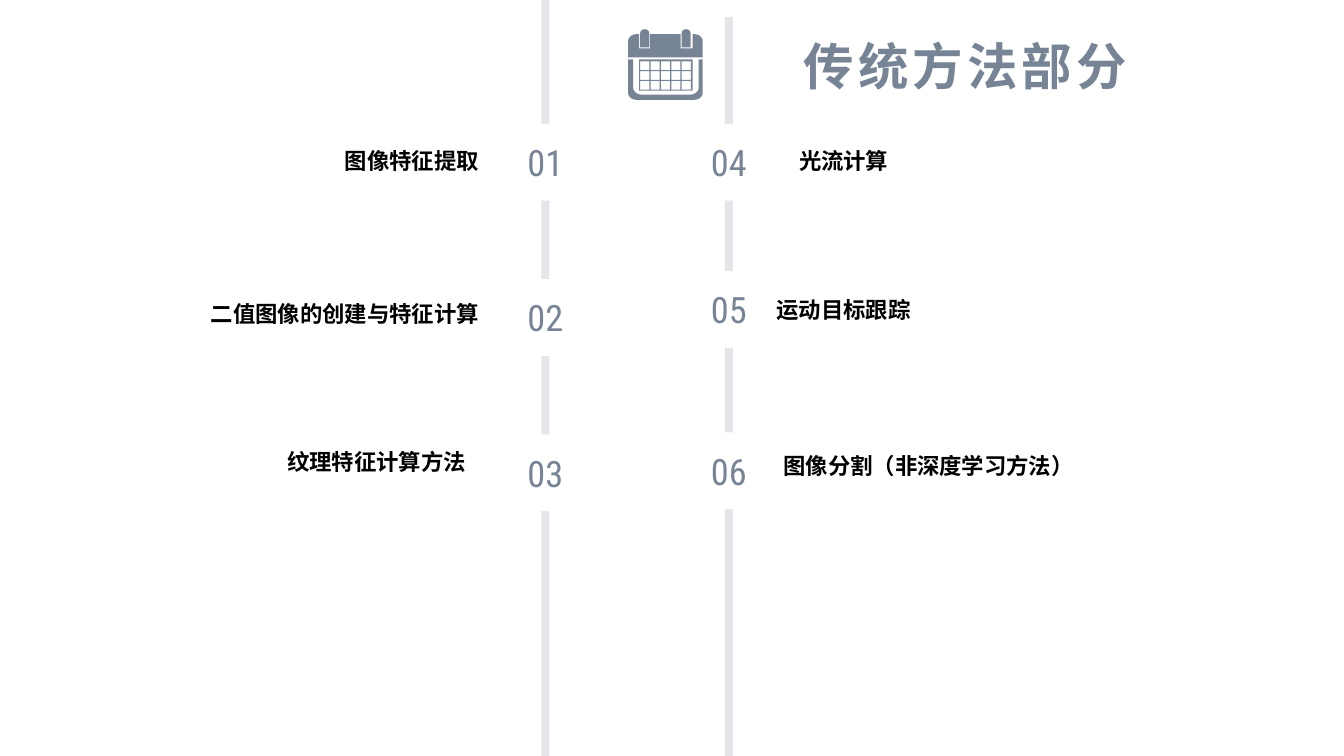
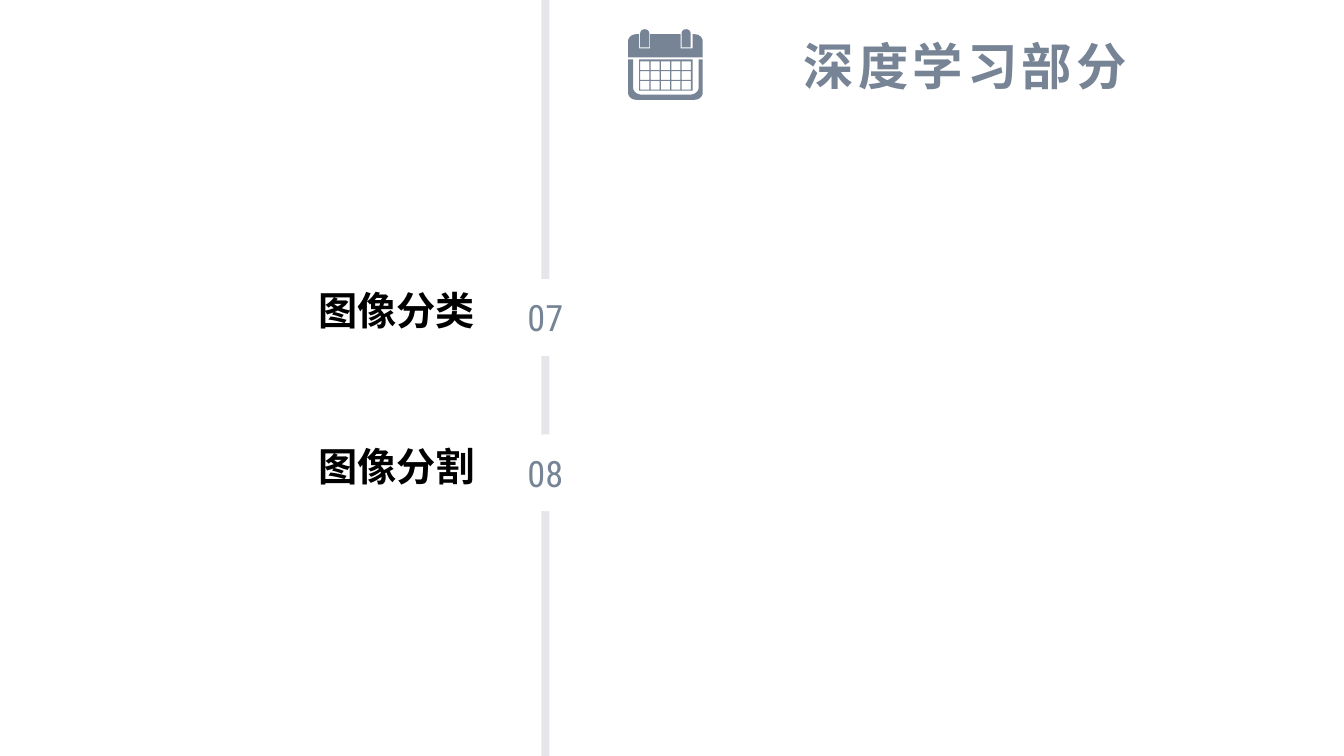
import math

from lxml import etree
from pptx import Presentation
from pptx.dml.color import RGBColor
from pptx.enum import lang, shapes, text
from pptx.oxml import ns
from pptx.util import Inches, Pt

SLATE = RGBColor(0x77, 0x84, 0x95)
LINE_GREY = RGBColor(0xE4, 0xE6, 0xEA)
WHITE = RGBColor(0xFF, 0xFF, 0xFF)
BLACK = RGBColor(0, 0, 0)

SLIDE_WIDTH, SLIDE_HEIGHT = 13.33, 7.5
LINE_WIDTH = 0.08
BADGE_SIZE = 0.7
LABEL_WIDTH, LABEL_HEIGHT = 4.08, 0.42
LEFT_LINE, RIGHT_LINE = 5.37, 7.19
TITLE_BOX = (7.87, 0.17, 3.52, 0.66)
ICON_ORIGIN = (6.23, 0.29)

TITLE_FONT = {"name": "Arial", "size": Pt(36), "bold": True}
BADGE_FONT = {"name": "Roboto Condensed", "size": Pt(25.9), "bold": False}
LABEL_FONT = {"name": "Arial", "bold": True}


def write_text(shape, content, font, color, alignment, anchor):
    """Put one formatted line of text in a shape."""
    frame = shape.text_frame
    frame_format = {"word_wrap": False, "vertical_anchor": anchor,
                    "auto_size": text.MSO_AUTO_SIZE.NONE}
    for name, value in frame_format.items():
        setattr(frame, name, value)
    paragraph = frame.paragraphs[0]
    paragraph.alignment = alignment
    run = paragraph.add_run()
    run.text = content
    run.font.language_id = lang.MSO_LANGUAGE_ID.SIMPLIFIED_CHINESE
    for name, value in font.items():
        setattr(run.font, name, value)
    run.font.color.rgb = color
    # East Asian typeface follows the Latin one
    properties = run.font._element
    etree.SubElement(properties, ns.qn("a:ea"), typeface=font["name"])
    return paragraph


def add_plain_shape(slide, kind, box, fill):
    shape = slide.shapes.add_shape(kind, *map(Inches, box))
    shape.shadow.inherit = False
    shape.fill.solid()
    shape.fill.fore_color.rgb = fill
    shape.line.fill.background()
    return shape


def arc(center_x, center_y, radius_x, radius_y, start, end, steps=8):
    """Points along an elliptical arc, angles in degrees."""
    angles = [math.radians(start + (end - start) * i / steps)
              for i in range(steps + 1)]
    return [(center_x + radius_x * math.cos(a), center_y + radius_y * math.sin(a))
            for a in angles]


def rectangle(left, top, width, height):
    return [(left, top), (left + width, top),
            (left + width, top + height), (left, top + height)]


def add_calendar_icon(slide, left, top):
    body = ([(0, 0.3), (0.05, 0.3)]
            + arc(0.14, 0.58, 0.09, 0.07, 180, 90)
            + arc(0.61, 0.58, 0.09, 0.07, 90, 0)
            + [(0.7, 0.3), (0.74, 0.3)]
            + arc(0.66, 0.63, 0.08, 0.07, 0, 90)
            + arc(0.08, 0.63, 0.08, 0.07, 90, 180))
    header = ([(0, 0.28)]
              + arc(0.08, 0.12, 0.08, 0.07, 180, 270)
              + [(0.11, 0.05), (0.11, 0.19), (0.22, 0.19), (0.22, 0.05),
                 (0.52, 0.05), (0.52, 0.19), (0.64, 0.19), (0.64, 0.05)]
              + arc(0.66, 0.12, 0.08, 0.07, 270, 360)
              + [(0.74, 0.28)])
    rings = [arc(x + 0.045, 0.04, 0.045, 0.04, 180, 360)
             + [(x + 0.09, 0.18), (x, 0.18)] for x in (0.12, 0.53)]
    # The day cells are holes in the grid panel
    grid = rectangle(0.11, 0.3, 0.53, 0.31)
    cells = [rectangle(0.12 + 0.103 * column, 0.32 + 0.097 * row, 0.09, 0.085)
             for column in range(5) for row in range(3)]

    builder = None
    for outline in [body, header, grid, *rings, *cells]:
        start, *rest = [(Inches(x), Inches(y)) for x, y in outline]
        if builder is None:
            builder = slide.shapes.build_freeform(*start)
        else:
            builder.move_to(*start)
        builder.add_line_segments(rest, close=True)
    icon = builder.convert_to_shape(Inches(left), Inches(top))
    icon.shadow.inherit = False
    icon.fill.solid()
    icon.fill.fore_color.rgb = SLATE
    icon.line.fill.background()


def add_header(slide, content):
    """Calendar icon and slide title."""
    title = slide.shapes.title
    for name, value in zip(("left", "top", "width", "height"), TITLE_BOX):
        setattr(title, name, Inches(value))
    paragraph = write_text(title, content, TITLE_FONT, SLATE,
                           text.PP_ALIGN.LEFT, text.MSO_ANCHOR.MIDDLE)
    paragraph.line_spacing = 1.5
    paragraph.runs[0].font._element.set("spc", "300")
    add_calendar_icon(slide, *ICON_ORIGIN)


def add_timeline(slide, left, top, entries, label_size):
    """Vertical line with numbered badges; labels end at an offset from the line."""
    add_plain_shape(slide, shapes.MSO_SHAPE.RECTANGLE,
                    (left, top, LINE_WIDTH, SLIDE_HEIGHT - top), LINE_GREY)
    badge_left = left + (LINE_WIDTH - BADGE_SIZE) / 2
    for number, badge_top, label, label_end, label_top in entries:
        badge = add_plain_shape(slide, shapes.MSO_SHAPE.OVAL,
                                (badge_left, badge_top, BADGE_SIZE, BADGE_SIZE), WHITE)
        badge.line.color.rgb = WHITE
        badge.line.width = Pt(4.5)
        write_text(badge, number, BADGE_FONT, SLATE,
                   text.PP_ALIGN.CENTER, text.MSO_ANCHOR.MIDDLE)
        box = (left + label_end - LABEL_WIDTH, label_top, LABEL_WIDTH, LABEL_HEIGHT)
        label_box = slide.shapes.add_textbox(*map(Inches, box))
        write_text(label_box, label, {**LABEL_FONT, "size": Pt(label_size)}, BLACK,
                   text.PP_ALIGN.RIGHT, text.MSO_ANCHOR.BOTTOM)


# Each timeline: line left, line top, label size, entries
# Each entry: number, badge top, label, label end from the line, label top
SLIDES = [
    ("传统方法部分", [
        (RIGHT_LINE, 0.17, 16, [
            ("04", 1.26, "光流计算", 1.72, 1.36),
            ("05", 2.72, "运动目标跟踪", 1.94, 2.83),
            ("06", 4.32, "图像分割（非深度学习方法）", 3.56, 4.38),
        ]),
        (LEFT_LINE, 0, 16, [
            ("01", 1.26, "图像特征提取", -0.52, 1.36),
            ("02", 2.8, "二值图像的创建与特征计算", -0.52, 2.87),
            ("03", 4.34, "纹理特征计算方法", -0.65, 4.34),
        ]),
    ]),
    ("深度学习部分", [
        (LEFT_LINE, 0, 28, [
            ("07", 2.8, "图像分类", -0.56, 2.94),
            ("08", 4.34, "图像分割", -0.56, 4.48),
        ]),
    ]),
]


def main():
    presentation = Presentation()
    presentation.slide_width = Inches(SLIDE_WIDTH)
    presentation.slide_height = Inches(SLIDE_HEIGHT)
    title_only = presentation.slide_layouts[5]
    for title, timelines in SLIDES:
        slide = presentation.slides.add_slide(title_only)
        for left, top, label_size, entries in timelines:
            add_timeline(slide, left, top, entries, label_size)
        add_header(slide, title)
    presentation.save("out.pptx")


if __name__ == "__main__":
    main()
